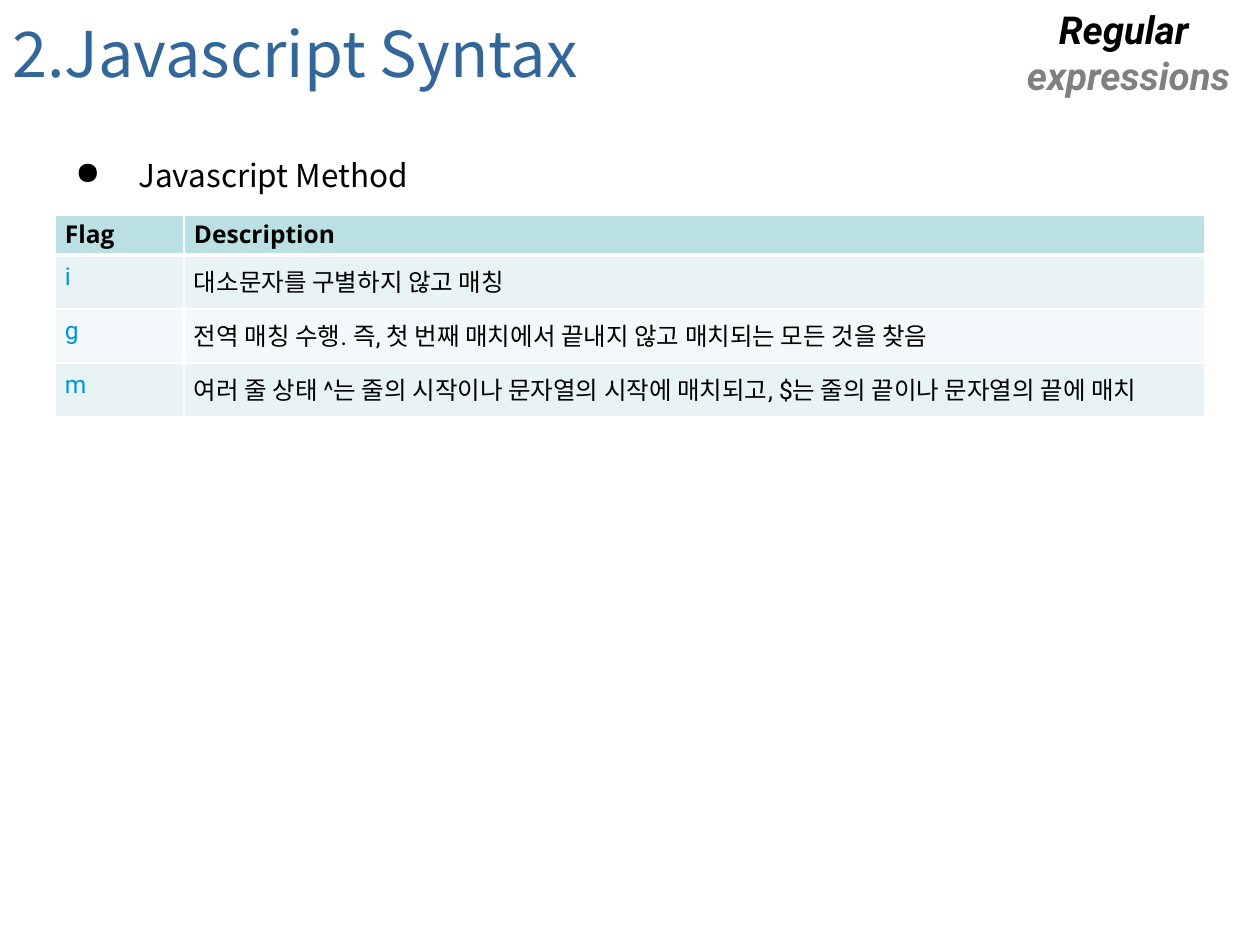
from lxml.etree import SubElement
from pptx import Presentation
from pptx.dml.color import RGBColor
from pptx.enum.text import MSO_ANCHOR, PP_ALIGN
from pptx.oxml.ns import qn
from pptx.util import Emu, Pt

PX = 914400 // 126
THEME = {
    "title": {"size": 36, "font": "Noto Sans CJK KR", "color": "336699"},
    "body": {"size": 18, "font": "Noto Sans CJK KR", "color": "000000"},
    "brand_top": {"size": 22, "font": "Roboto", "color": "000000", "bold": True, "italic": True},
    "brand_bottom": {"size": 22, "font": "Roboto", "color": "808080", "bold": True, "italic": True},
    "header": {"size": 14, "font": "Open Sans", "color": "000000", "bold": True},
    "flag": {"size": 14, "font": "Roboto", "color": "0095DD", "bold": False},
    "description": {"size": 14, "font": "Roboto", "color": "000000", "bold": False},
    "header_fill": "BBE0E3",
    "row_fills": ("E7F3F4", "F3F9FA"),
    "border": "FFFFFF",
}


def write(paragraph, text, style):
    """Add one run of text in a style of the theme."""
    look = THEME[style]
    run = paragraph.add_run()
    run.text = text
    values = {"size": Pt(look["size"]), "name": look["font"],
              "bold": look.get("bold"), "italic": look.get("italic")}
    for name, value in values.items():
        setattr(run.font, name, value)
    run.font.color.rgb = RGBColor.from_string(look["color"])
    east_asian = SubElement(run.font._element, qn("a:ea"))
    east_asian.set("typeface", "Noto Sans CJK KR")


def add_text_frame(slide, left, top, width, height, **formats):
    box = slide.shapes.add_textbox(*(Emu(n * PX) for n in (left, top, width, height)))
    for name, value in {"word_wrap": True, **formats}.items():
        setattr(box.text_frame, name, value)
    return box.text_frame


presentation = Presentation()
presentation.slide_width = Emu(1260 * PX)
presentation.slide_height = Emu(945 * PX)
slide = presentation.slides.add_slide(presentation.slide_layouts[6])

# Course name in the corner
brand = add_text_frame(slide, 997, 0, 263, 106)
brand_lines = (("Regular ", "brand_top"), ("expressions", "brand_bottom"))
for index, (text, style) in enumerate(brand_lines):
    paragraph = brand.add_paragraph() if index else brand.paragraphs[0]
    paragraph.alignment = PP_ALIGN.CENTER
    write(paragraph, text, style)

# Title and bullet
title = add_text_frame(slide, 0, 0, 1260, 105, vertical_anchor=MSO_ANCHOR.MIDDLE)
write(title.paragraphs[0], "2.Javascript Syntax", "title")

body = add_text_frame(slide, 0, 108, 1260, 784, margin_top=Emu(48 * PX))
bullet = body.paragraphs[0]
properties = bullet._p.get_or_add_pPr()
properties.set("marL", str(126 * PX))
properties.set("indent", str(-63 * PX))
SubElement(properties, qn("a:buChar")).set("char", "●")
write(bullet, "Javascript Method", "body")

# Table of flags
rows = (
    ("Flag", "Description"),
    ("i", "대소문자를 구별하지 않고 매칭"),
    ("g", "전역 매칭 수행. 즉, 첫 번째 매치에서 끝내지 않고 매치되는 모든 것을 찾음"),
    ("m", "여러 줄 상태 ^는 줄의 시작이나 문자열의 시작에 매치되고, $는 줄의 끝이나 문자열의 끝에 매치"),
)
column_widths = (129, 1021)
row_heights = (40, 54, 54, 54)
frame = slide.shapes.add_table(
    len(rows), len(column_widths), Emu(55 * PX), Emu(215 * PX),
    Emu(sum(column_widths) * PX), Emu(sum(row_heights) * PX))
table = frame.table
for column, width in zip(table.columns, column_widths):
    column.width = Emu(width * PX)
for row, height in zip(table.rows, row_heights):
    row.height = Emu(height * PX)

for row_index, texts in enumerate(rows):
    is_header = row_index == 0
    fill = THEME["header_fill"] if is_header else THEME["row_fills"][(row_index - 1) % 2]
    styles = ("header", "header") if is_header else ("flag", "description")
    formats = {
        "margin_left": Emu(10 * PX),
        "margin_right": Emu(10 * PX),
        "margin_top": Emu((2 if is_header else 8) * PX),
        "margin_bottom": Emu((5 if is_header else 10) * PX),
        "vertical_anchor": MSO_ANCHOR.MIDDLE if is_header else MSO_ANCHOR.TOP,
    }
    # The thick rule under the header is shared with the first row below it
    border_widths = {"L": 1, "R": 1, "T": 3 if row_index == 1 else 1, "B": 3 if is_header else 1}
    for column_index, (text, style) in enumerate(zip(texts, styles)):
        cell = table.cell(row_index, column_index)
        for name, value in formats.items():
            setattr(cell, name, value)
        for side, width in border_widths.items():
            line = SubElement(cell._tc.get_or_add_tcPr(), qn(f"a:ln{side}"), w=str(Pt(width)))
            solid = SubElement(line, qn("a:solidFill"))
            SubElement(solid, qn("a:srgbClr"), val=THEME["border"])
        cell.fill.solid()
        cell.fill.fore_color.rgb = RGBColor.from_string(fill)
        write(cell.text_frame.paragraphs[0], text, style)

presentation.save("out.pptx")
